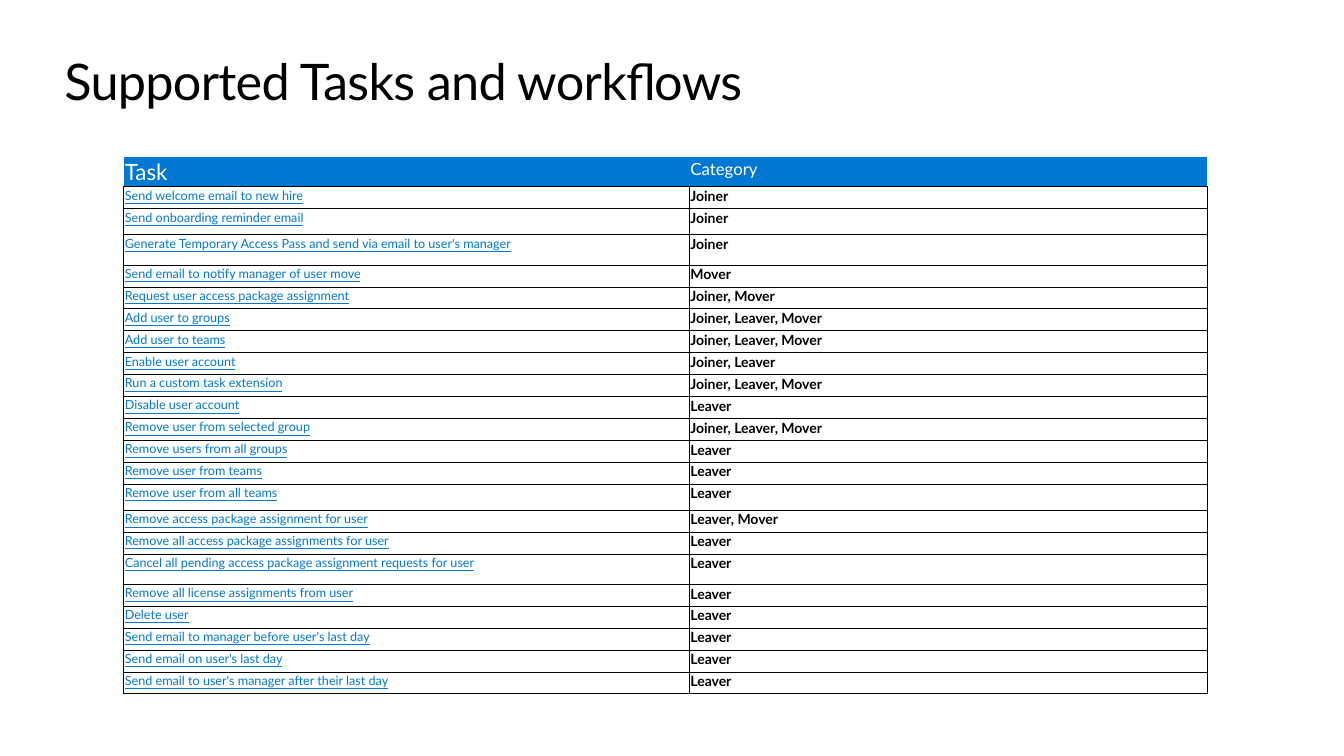
from dataclasses import dataclass

from lxml.etree import SubElement
from pptx import Presentation
from pptx.dml.color import RGBColor
from pptx.enum.text import MSO_ANCHOR, PP_ALIGN
from pptx.oxml.ns import qn
from pptx.util import Pt


@dataclass(frozen=True)
class Theme:
    font: str = "Lato"
    blue: str = "0078D4"
    black: str = "000000"
    white: str = "FFFFFF"
    title: int = 36
    task_head: int = 16
    group_head: int = 12
    task: int = 9
    group: int = 10
    rule: float = 0.25
    inset: float = 0.9


THEME = Theme()
COLS = (404, 370)
HEAD, ROW, MID, TALL = 19.8, 15.65, 18.7, 21.6
TASKS = [
    ("Send welcome email to new hire", "Joiner", ROW),
    ("Send onboarding reminder email", "Joiner", MID),
    ("Generate Temporary Access Pass and send via email to user's manager", "Joiner", TALL),
    ("Send email to notify manager of user move", "Mover", ROW),
    ("Request user access package assignment", "Joiner, Mover", ROW),
    ("Add user to groups", "Joiner, Leaver, Mover", ROW),
    ("Add user to teams", "Joiner, Leaver, Mover", ROW),
    ("Enable user account", "Joiner, Leaver", ROW),
    ("Run a custom task extension", "Joiner, Leaver, Mover", ROW),
    ("Disable user account", "Leaver", ROW),
    ("Remove user from selected group", "Joiner, Leaver, Mover", ROW),
    ("Remove users from all groups", "Leaver", ROW),
    ("Remove user from teams", "Leaver", ROW),
    ("Remove user from all teams", "Leaver", MID),
    ("Remove access package assignment for user", "Leaver, Mover", ROW),
    ("Remove all access package assignments for user", "Leaver", ROW),
    ("Cancel all pending access package assignment requests for user", "Leaver", TALL),
    ("Remove all license assignments from user", "Leaver", ROW),
    ("Delete user", "Leaver", ROW),
    ("Send email to manager before user's last day", "Leaver", ROW),
    ("Send email on user's last day", "Leaver", ROW),
    ("Send email to user's manager after their last day", "Leaver", ROW),
]


def style(par, size, color, bold=False, line=False):
    font = par.font
    font.name, font.size = THEME.font, Pt(size)
    font.bold, font.underline = bold, line
    font.color.rgb = RGBColor.from_string(color)


def add_title(slide, text, left, top, width, height):
    title = slide.shapes.title
    title.left, title.top = Pt(left), Pt(top)
    title.width, title.height = Pt(width), Pt(height)
    frame = title.text_frame
    frame.margin_left = frame.margin_right = 0
    frame.margin_top = frame.margin_bottom = 0
    frame.vertical_anchor = MSO_ANCHOR.TOP
    frame.word_wrap = True
    par = frame.paragraphs[0]
    par.alignment = PP_ALIGN.LEFT
    run = par.add_run()
    run.text = text
    run._r.get_or_add_rPr().set("spc", "-50")
    style(par, THEME.title, THEME.black)


def add_rules(cell, sides):
    """Rule the named sides (L, R, T, B) and clear the others."""
    props = cell._tc.get_or_add_tcPr()
    for side in "LRTB":
        rule = SubElement(props, qn(f"a:ln{side}"), w=str(Pt(THEME.rule)))
        if side in sides:
            fill = SubElement(rule, qn("a:solidFill"))
            SubElement(fill, qn("a:srgbClr"), val=THEME.black)
        else:
            SubElement(rule, qn("a:noFill"))


def fill_cell(cell, text, sides, back, **look):
    cell.margin_left = cell.margin_right = Pt(THEME.inset)
    cell.margin_top = cell.margin_bottom = Pt(THEME.inset)
    add_rules(cell, sides)
    if back:
        cell.fill.solid()
        cell.fill.fore_color.rgb = RGBColor.from_string(back)
    else:
        cell.fill.background()
    cell.text = text
    style(cell.text_frame.paragraphs[0], **look)


def add_tasks(slide, left, top):
    heights = [HEAD] + [height for _, _, height in TASKS]
    table = slide.shapes.add_table(
        len(heights), len(COLS), Pt(left), Pt(top), Pt(sum(COLS)), Pt(sum(heights))
    ).table
    table.first_row = table.horz_banding = False
    for col, width in zip(table.columns, COLS):
        col.width = Pt(width)
    for row, height in zip(table.rows, heights):
        row.height = Pt(height)

    heads = (("Task", THEME.task_head), ("Category", THEME.group_head))
    for col, (text, size) in enumerate(heads):
        fill_cell(table.cell(0, col), text, "B", THEME.blue, size=size, color=THEME.white)
    for row, (task, group, _) in enumerate(TASKS, 1):
        fill_cell(table.cell(row, 0), task, "LRTB", None,
                  size=THEME.task, color=THEME.blue, line=True)
        fill_cell(table.cell(row, 1), group, "LRTB", None,
                  size=THEME.group, color=THEME.black, bold=True)


def main():
    deck = Presentation()
    deck.slide_width, deck.slide_height = Pt(960), Pt(540)
    slide = deck.slides.add_slide(deck.slide_layouts[5])
    add_title(slide, "Supported Tasks and workflows", 46, 36, 868, 44)
    add_tasks(slide, 88.3, 112.3)
    deck.save("out.pptx")


if __name__ == "__main__":
    main()
